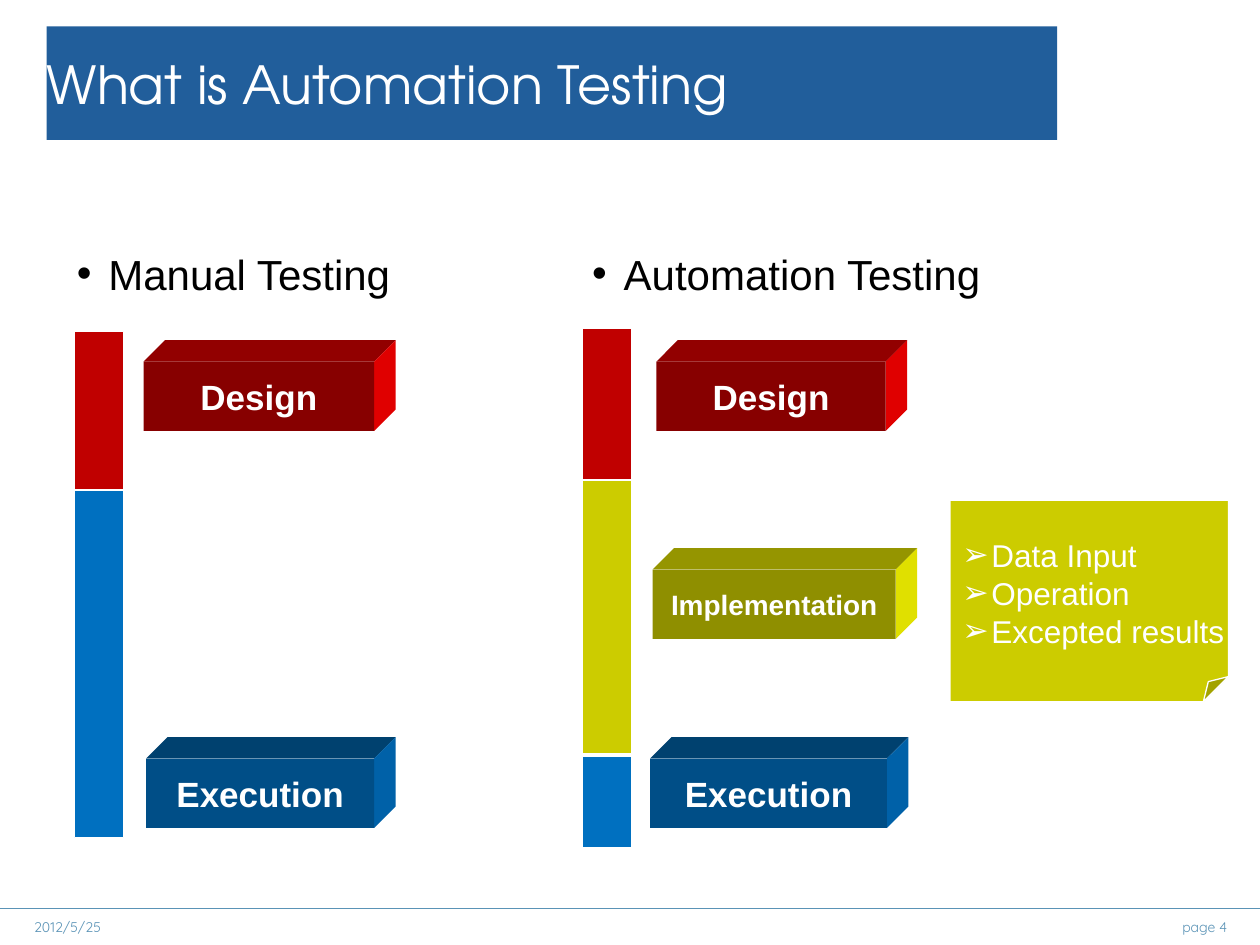
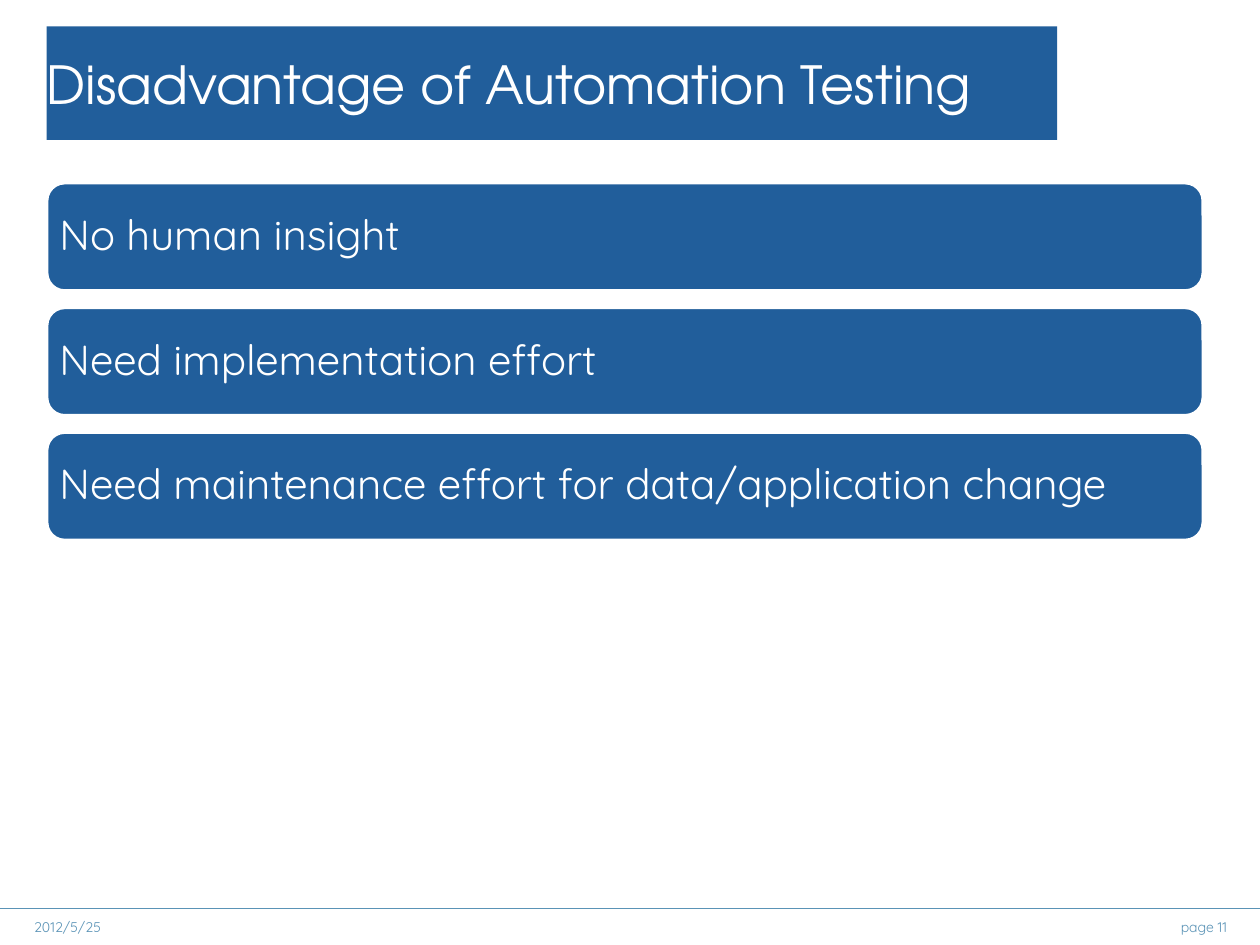
from dataclasses import dataclass
from lxml.etree import SubElement
from pptx import Presentation
from pptx.dml.color import RGBColor
from pptx.enum.shapes import MSO_CONNECTOR as Connector, MSO_SHAPE as Shape
from pptx.enum.text import MSO_ANCHOR as Anchor, MSO_AUTO_SIZE as AutoSize, PP_ALIGN as Align
from pptx.oxml.ns import qn
from pptx.util import Inches, Pt


@dataclass(frozen=True)
class Paint:
    bar: str
    face: str
    top: str
    side: str


@dataclass(frozen=True)
class Theme:
    title_font: str = "TeX Gyre Adventor"
    body_font: str = "Arial"
    label_font: str = "Quicksand"
    title_size: float = 30
    head_size: float = 24
    block_size: float = 20
    small_block_size: float = 16
    note_size: float = 18
    footer_size: float = 8
    band: str = "215E9B"
    footer: str = "5A93B6"
    white: str = "FFFFFF"
    black: str = "000000"
    red: Paint = Paint("C00000", "870000", "920000", "E00000")
    blue: Paint = Paint("0070C0", "004E87", "00416F", "0061A8")
    olive: Paint = Paint("CCCC00", "8F8F00", "959500", "E0E000")


THEME = Theme()
DATE = "2012/5/25"
BLOCK_DEPTH = 0.17
BLOCK_HEIGHT = 0.55
BAR_WIDTH = 0.39


def rgb(value):
    return RGBColor.from_string(value)


def place(item, left, top, width, height):
    item.left, item.top = Inches(left), Inches(top)
    item.width, item.height = Inches(width), Inches(height)


def set_bullet(para, mark, indent):
    props = para._p.get_or_add_pPr()
    props.set("marL", str(Inches(indent)))
    props.set("indent", str(-Inches(indent)))
    SubElement(props, qn("a:buFont")).set("typeface", THEME.body_font)
    SubElement(props, qn("a:buChar")).set("char", mark)


def write(frame, lines, *, size, font=THEME.body_font, color=THEME.white, bold=False,
          align=Align.LEFT, anchor=Anchor.MIDDLE, inset=(0, 0), wrap=True,
          bullet=None, indent=0, spacing=1.0):
    frame.auto_size = AutoSize.NONE
    frame.word_wrap = wrap
    frame.vertical_anchor = anchor
    frame.margin_left = frame.margin_right = Inches(inset[0])
    frame.margin_top = frame.margin_bottom = Inches(inset[1])
    for index, line in enumerate(lines):
        para = frame.add_paragraph() if index else frame.paragraphs[0]
        para.alignment = align
        para.line_spacing = spacing
        para.space_before = Pt(0)
        if bullet:
            set_bullet(para, bullet, indent)
        span = para.add_run()
        span.text = line
        span.font.size = Pt(size)
        span.font.name = font
        span.font.bold = bold
        span.font.color.rgb = rgb(color)


def paint(shape, fill, line=None, weight=0.75):
    shape.shadow.inherit = False
    shape.fill.solid()
    shape.fill.fore_color.rgb = rgb(fill)
    if line:
        shape.line.color.rgb = rgb(line)
        shape.line.width = Pt(weight)
    else:
        shape.line.fill.background()


def add_box(page, kind, left, top, width, height, fill, line=None, weight=0.75):
    box = page.shapes.add_shape(kind, 0, 0, 0, 0)
    place(box, left, top, width, height)
    paint(box, fill, line, weight)
    return box


def add_text(page, left, top, width, height, lines, **style):
    box = page.shapes.add_textbox(0, 0, 0, 0)
    place(box, left, top, width, height)
    write(box.text_frame, lines, **style)


def add_facet(page, points, fill):
    corners = [(Inches(x), Inches(y)) for x, y in points]
    builder = page.shapes.build_freeform(*corners[0])
    builder.add_line_segments(corners[1:])
    paint(builder.convert_to_shape(), fill)


def add_block(page, label, left, top, width, colors, size=THEME.block_size):
    right, bottom = left + width, top + BLOCK_HEIGHT
    back, far = top - BLOCK_DEPTH, right + BLOCK_DEPTH
    add_facet(page, [(left, top), (left + BLOCK_DEPTH, back), (far, back), (right, top)],
              colors.top)
    add_facet(page, [(right, top), (far, back), (far, bottom - BLOCK_DEPTH), (right, bottom)],
              colors.side)
    face = add_box(page, Shape.RECTANGLE, left, top, width, BLOCK_HEIGHT, colors.face)
    write(face.text_frame, [label], size=size, bold=True, align=Align.CENTER, wrap=False)


def add_bar(page, left, segments):
    for top, height, colors in segments:
        add_box(page, Shape.RECTANGLE, left, top, BAR_WIDTH, height, colors.bar, THEME.white)


def add_heading(holder, left, text):
    place(holder, left, 1.92, 4.42, 0.56)
    write(holder.text_frame, [text], size=THEME.head_size, color=THEME.black,
          anchor=Anchor.TOP, inset=(0.1, 0.05), bullet="•", indent=0.25)


def add_note(page, lines):
    note = add_box(page, Shape.FOLDED_CORNER, 7.54, 3.97, 2.21, 1.6,
                   THEME.olive.bar, THEME.white)
    geometry = note._element.spPr.find(qn("a:prstGeom"))
    fold = SubElement(geometry.find(qn("a:avLst")), qn("a:gd"))
    fold.set("name", "adj")
    fold.set("fmla", "val 12500")
    add_text(page, 7.54, 3.65, 2.56, 2.11, lines,
             size=THEME.note_size, inset=(0.1, 0.05), bullet="➢", indent=0.23)


def add_page(deck, layout, title, number):
    page = deck.slides.add_slide(deck.slide_layouts.get_by_name(layout))
    band = page.shapes.title
    place(band, 0.37, 0.21, 8.02, 0.9)
    band.fill.solid()
    band.fill.fore_color.rgb = rgb(THEME.band)
    write(band.text_frame, [title], size=THEME.title_size, font=THEME.title_font)

    rule = page.shapes.add_connector(Connector.STRAIGHT, 0, Inches(7.21),
                                     deck.slide_width, Inches(7.21))
    rule.line.color.rgb = rgb(THEME.footer)
    rule.line.width = Pt(0.75)
    SubElement(rule._element.spPr, qn("a:effectLst"))

    style = dict(size=THEME.footer_size, font=THEME.label_font, color=THEME.footer)
    add_text(page, 0.27, 7.29, 1.21, 0.13, [DATE], **style)
    add_text(page, 9.3, 7.29, 0.44, 0.13, [f"page {number}"], align=Align.RIGHT, **style)
    return page


def add_comparison(deck):
    page = add_page(deck, "Two Content", "What is Automation Testing", 4)
    add_heading(page.placeholders[1], 0.51, "Manual Testing")
    add_heading(page.placeholders[2], 4.6, "Automation Testing")

    add_bar(page, 0.59, [(2.63, 1.26, THEME.red), (3.89, 2.76, THEME.blue)])
    add_bar(page, 4.62, [(2.61, 1.2, THEME.red), (3.81, 2.17, THEME.olive),
                         (6, 0.73, THEME.blue)])

    add_block(page, "Design", 1.14, 2.87, 1.83, THEME.red)
    add_block(page, "Execution", 1.16, 6.02, 1.81, THEME.blue)
    add_block(page, "Design", 5.21, 2.87, 1.82, THEME.red)
    add_block(page, "Implementation", 5.18, 4.52, 1.93, THEME.olive, THEME.small_block_size)
    add_block(page, "Execution", 5.16, 6.02, 1.88, THEME.blue)

    add_note(page, ["Data Input", "Operation", "Excepted results"])


def add_disadvantages(deck):
    page = add_page(deck, "Title Only", "Disadvantage of Automation Testing", 11)
    points = ["No human insight", "Need implementation effort",
              "Need maintenance effort for data/application change"]
    for index, point in enumerate(points):
        card = add_box(page, Shape.ROUNDED_RECTANGLE, 0.37, 1.45 + 0.99 * index, 9.18, 0.86,
                       THEME.band, THEME.white, 2)
        write(card.text_frame, [point], size=THEME.head_size, font=THEME.label_font,
              inset=(0.06, 0.06), spacing=0.9)


def main():
    deck = Presentation()
    deck.slide_width, deck.slide_height = Inches(10), Inches(7.5)
    add_comparison(deck)
    add_disadvantages(deck)
    deck.save("out.pptx")


if __name__ == "__main__":
    main()
